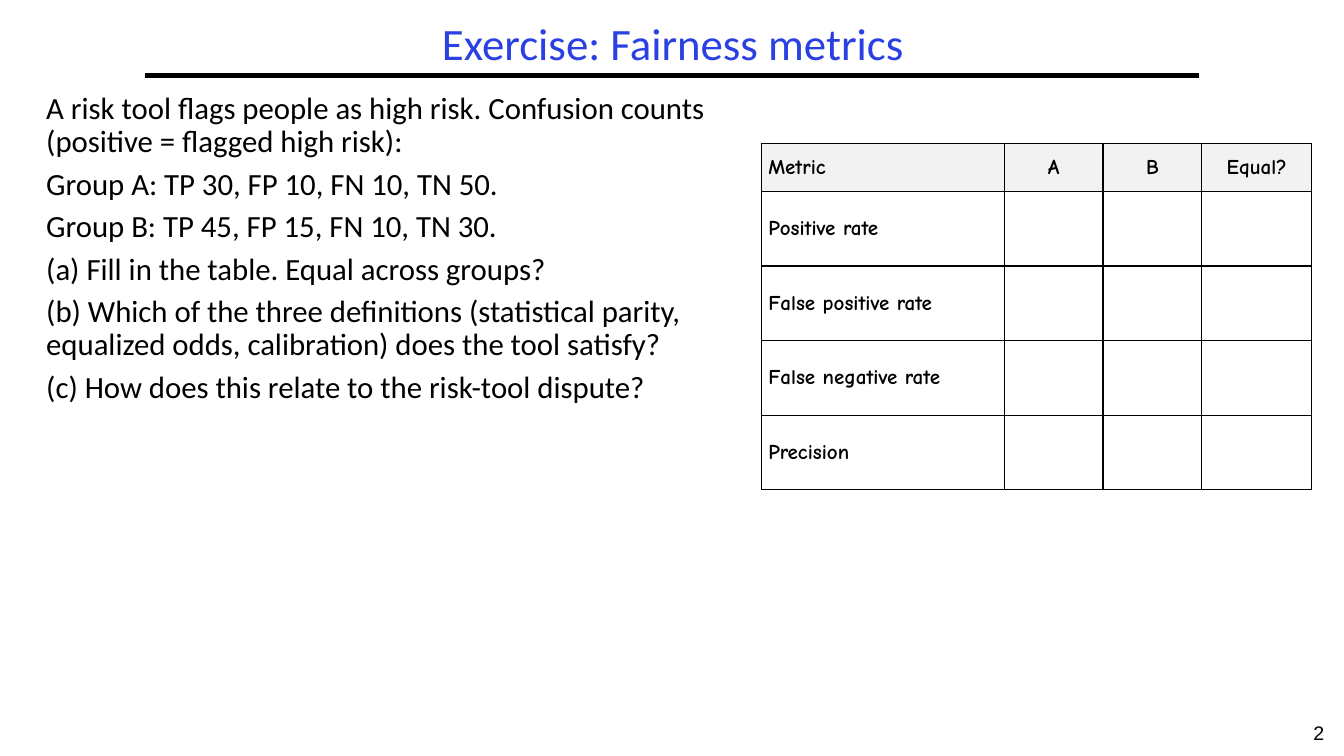
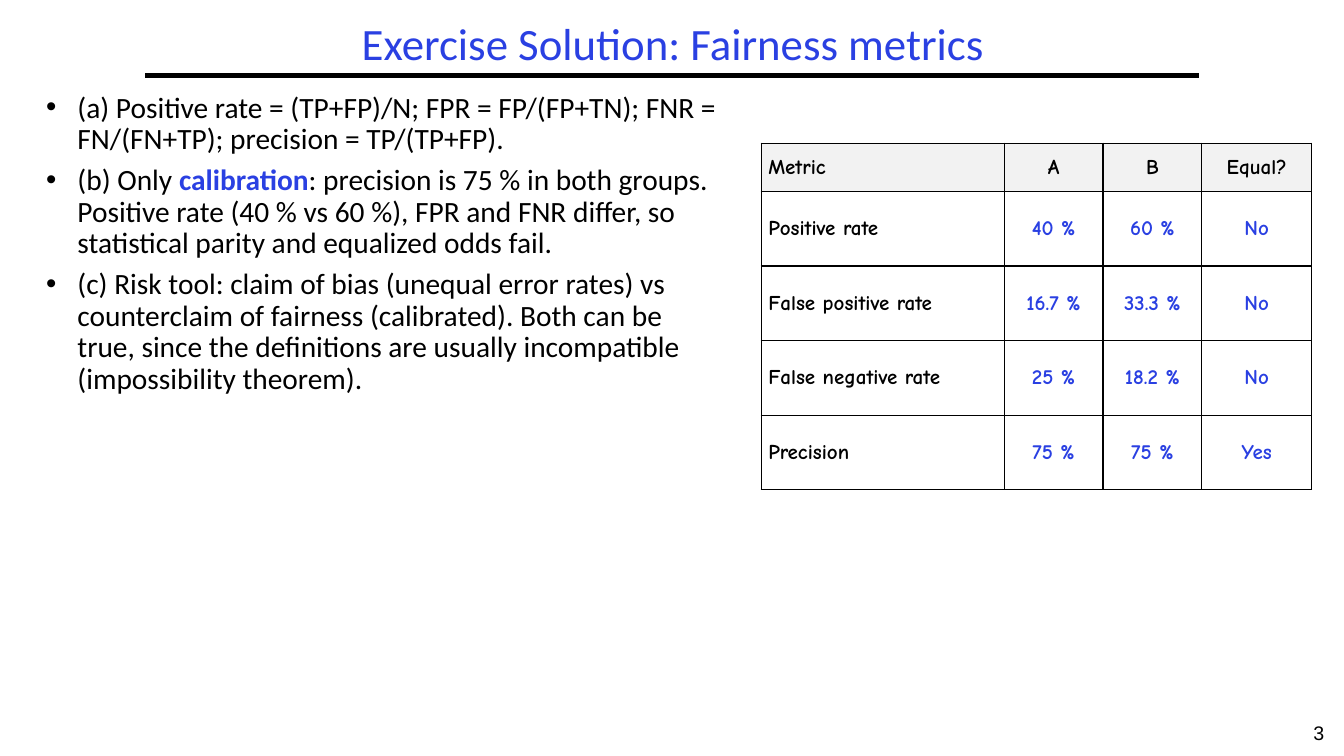
"""Build two slides: a fairness metrics exercise and its solution."""
from lxml import etree
from pptx import Presentation
from pptx.dml.color import RGBColor
from pptx.enum import shapes, text
from pptx.oxml import ns
from pptx.util import Inches, Pt

BLACK = RGBColor(0x00, 0x00, 0x00)
WHITE = RGBColor(0xFF, 0xFF, 0xFF)
BLUE = RGBColor(0x2A, 0x40, 0xE2)
HEADER_GRAY = RGBColor(0xF2, 0xF2, 0xF2)
LEFT, CENTER = text.PP_ALIGN.LEFT, text.PP_ALIGN.CENTER
MIDDLE = text.MSO_ANCHOR.MIDDLE
METRICS = ["Positive rate", "False positive rate", "False negative rate", "Precision"]
QUESTIONS = [
    "A risk tool flags people as high risk. Confusion counts (positive = flagged high risk):",
    "Group A: TP 30, FP 10, FN 10, TN 50.",
    "Group B: TP 45, FP 15, FN 10, TN 30.",
    "(a) Fill in the table. Equal across groups?",
    "(b) Which of the three definitions (statistical parity, equalized odds, calibration) "
    "does the tool satisfy?",
    "(c) How does this relate to the risk-tool dispute?",
]
ANSWERS = [
    "(a) Positive rate = (TP+FP)/N; FPR = FP/(FP+TN); FNR = FN/(FN+TP); "
    "precision = TP/(TP+FP).",
    "(b) Only **calibration**: precision is 75 % in both groups. Positive rate (40 % vs 60 %), "
    "FPR and FNR differ, so statistical parity and equalized odds fail.",
    "(c) Risk tool: claim of bias (unequal error rates) vs counterclaim of fairness (calibrated). "
    "Both can be true, since the definitions are usually incompatible (impossibility theorem).",
]
BLANK_RESULTS = [["", "", ""] for metric in METRICS]
RESULTS = [
    ["40 %", "60 %", "No"],
    ["16.7 %", "33.3 %", "No"],
    ["25 %", "18.2 %", "No"],
    ["75 %", "75 %", "Yes"],
]


def write(frame, paragraphs, size, font="Calibri", color=BLACK, bold=False, align=LEFT,
          spacing=None, gap=0, bullet=False):
    """Write paragraphs into a frame; **marked** words become bold and blue."""
    for index, content in enumerate(paragraphs):
        paragraph = frame.paragraphs[0] if index == 0 else frame.add_paragraph()
        if bullet:
            properties = paragraph._p.get_or_add_pPr()
            properties.set("marL", str(Inches(0.31)))
            properties.set("indent", str(-Inches(0.31)))
            etree.SubElement(properties, ns.qn("a:buFont"), typeface="Arial")
            etree.SubElement(properties, ns.qn("a:buChar"), char="•")
        paragraph.alignment = align
        paragraph.line_spacing = spacing
        paragraph.space_before = Pt(gap if index else 0)
        paragraph.font.size = Pt(size)
        for part, words in enumerate(content.split("**")):
            if not words:
                continue
            marked = part % 2 == 1
            run = paragraph.add_run()
            run.text = words
            run.font.name = font
            run.font.size = Pt(size)
            run.font.bold = bold or marked
            run.font.color.rgb = BLUE if marked else color


class Deck:
    """Holds the shared style and the current slide."""

    def __init__(self):
        """Start a widescreen presentation."""
        self.presentation = Presentation()
        self.presentation.slide_width = Inches(13.33)
        self.presentation.slide_height = Inches(7.5)
        self.slide = None

    def start_slide(self, title, number):
        """Add a slide with its title, rule and page number."""
        self.slide = self.presentation.slides.add_slide(self.presentation.slide_layouts[6])
        self.rule(1.44, 11.89, 0.75)
        self.text_box(12.83, 7.1, 0.5, 0.4, [str(number)], size=14, font="Arial", align=CENTER)
        self.text_box(1.44, 0.17, 10.47, 0.58, [title], anchor=MIDDLE, size=32, color=BLUE,
                      align=CENTER, spacing=0.9)

    def rule(self, start, end, top):
        """Draw a heavy horizontal line."""
        line = self.slide.shapes.add_connector(
            shapes.MSO_CONNECTOR.STRAIGHT, Inches(start), Inches(top), Inches(end), Inches(top))
        line.line.color.rgb = BLACK
        line.line.width = Pt(3)
        etree.SubElement(line._element.spPr, ns.qn("a:effectLst"))

    def text_box(self, left, top, width, height, paragraphs, anchor=text.MSO_ANCHOR.TOP, **style):
        """Add a wrapping text box."""
        box = self.slide.shapes.add_textbox(
            Inches(left), Inches(top), Inches(width), Inches(height))
        box.text_frame.word_wrap = True
        box.text_frame.vertical_anchor = anchor
        write(box.text_frame, paragraphs, **style)

    def body(self, paragraphs, size, bullet=False):
        """Add the text on the left half."""
        self.text_box(0.36, 0.87, 6.89, 6.01, paragraphs, size=size, bullet=bullet,
                      spacing=0.9, gap=0.3 * size)

    def metric_table(self, results):
        """Add the table of metrics for both groups."""
        rows = [["Metric", "A", "B", "Equal?"]]
        rows += [[metric, *values] for metric, values in zip(METRICS, results)]
        widths = [2.41, 0.98, 0.98, 1.09]
        heights = [0.48] + [0.74] * len(METRICS)
        table = self.slide.shapes.add_table(
            len(rows), len(widths), Inches(7.55), Inches(1.42),
            Inches(sum(widths)), Inches(sum(heights))).table
        table.first_row = table.horz_banding = False
        for column, width in zip(table.columns, widths):
            column.width = Inches(width)
        for row, height in zip(table.rows, heights):
            row.height = Inches(height)
        for r, values in enumerate(rows):
            for c, value in enumerate(values):
                self.cell(table.cell(r, c), value, is_header=r == 0, is_label=c == 0)

    def cell(self, cell, value, is_header, is_label):
        """Format one table cell and write its value."""
        cell.margin_left = cell.margin_right = Inches(0.07)
        cell.margin_top = cell.margin_bottom = Inches(0.03)
        cell.vertical_anchor = MIDDLE
        for side in ("lnL", "lnR", "lnT", "lnB"):
            border = etree.SubElement(
                cell._tc.get_or_add_tcPr(), ns.qn(f"a:{side}"), w=str(Pt(1)))
            fill = etree.SubElement(border, ns.qn("a:solidFill"))
            etree.SubElement(fill, ns.qn("a:srgbClr"), val=str(BLACK))
        cell.fill.solid()
        cell.fill.fore_color.rgb = HEADER_GRAY if is_header else WHITE
        write(cell.text_frame, [value], size=15, font="Comic Neue", bold=True,
              color=BLACK if is_header or is_label else BLUE,
              align=LEFT if is_label else CENTER)


def main():
    """Build and save the deck."""
    deck = Deck()
    deck.start_slide("Exercise: Fairness metrics", 2)
    deck.body(QUESTIONS, size=22)
    deck.metric_table(BLANK_RESULTS)
    deck.start_slide("Exercise Solution: Fairness metrics", 3)
    deck.body(ANSWERS, size=21, bullet=True)
    deck.metric_table(RESULTS)
    deck.presentation.save("out.pptx")


if __name__ == "__main__":
    main()
